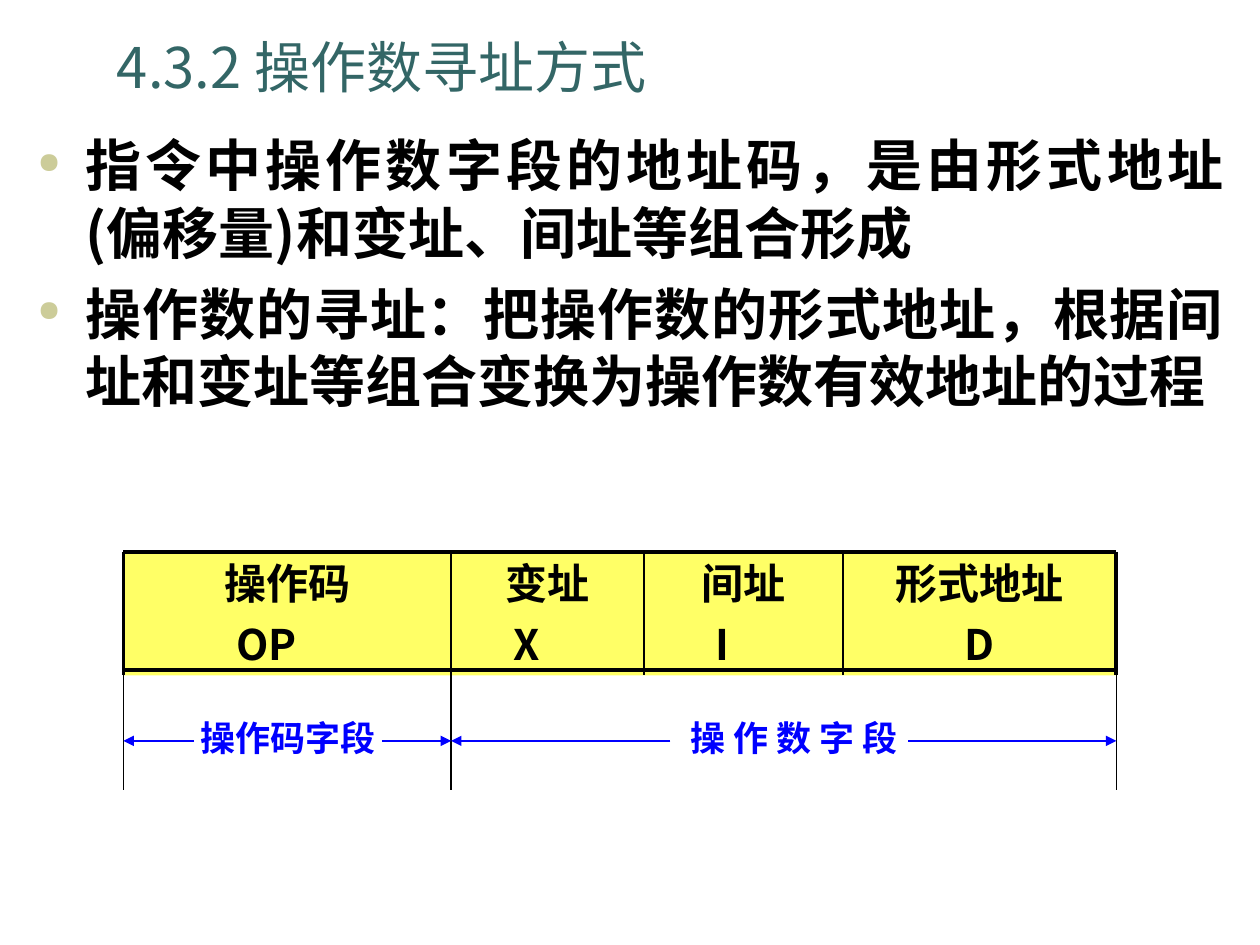
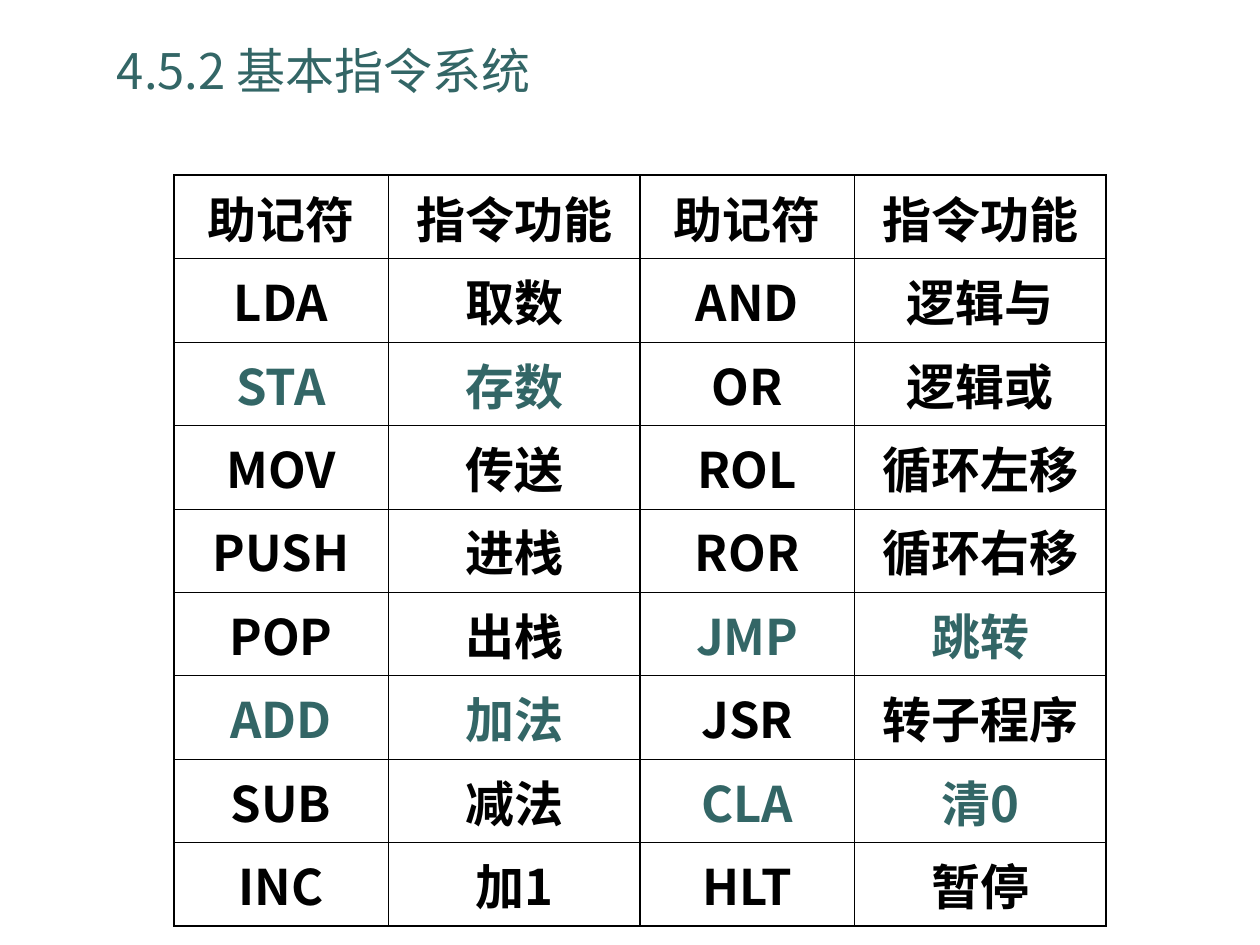
from dataclasses import dataclass

from lxml.etree import SubElement
from pptx import Presentation
from pptx.dml.color import RGBColor
from pptx.enum.shapes import MSO_CONNECTOR, MSO_SHAPE
from pptx.enum.text import MSO_ANCHOR, PP_ALIGN
from pptx.oxml.ns import qn
from pptx.util import Inches, Pt

COLORS = {
    "teal": "336666",
    "black": "000000",
    "bullet": "CCCC99",
    "field": "FFFF66",
    "blue": "0000FF",
}
CJK_FONT = "Noto Sans CJK SC"
LABEL_FONT = "Arial"


@dataclass
class TextStyle:
    size: float
    color: str = "black"
    bold: bool = True
    font: str = CJK_FONT
    align: PP_ALIGN = PP_ALIGN.CENTER
    space_before: float = 0


@dataclass
class Field:
    name: str
    symbol: str
    left: float
    right: float


@dataclass
class Span:
    """A blue label between two arrows that reach out to the span's ends."""
    label: str
    left: float
    right: float
    label_left: float
    label_width: float
    arrow_left: float
    arrow_right: float


BODY_STYLE = TextStyle(32, align=PP_ALIGN.JUSTIFY, space_before=8)
FIELD_STYLE = TextStyle(24, space_before=6)
SPAN_STYLE = TextStyle(20, "blue", font=LABEL_FONT)
CELL_STYLE = TextStyle(28)
MARKED_CELL_STYLE = TextStyle(28, "teal")

BODY = [
    "指令中操作数字段的地址码，是由形式地址(偏移量)和变址、间址等组合形成",
    "操作数的寻址：把操作数的形式地址，根据间址和变址等组合变换为操作数有效地址的过程",
]

# Instruction format diagram
FIELDS = [
    Field("操作码", "OP　", 0.98, 3.58),
    Field("变址", "X　", 3.58, 5.11),
    Field("间址", "I　", 5.11, 6.69),
    Field("形式地址", "D", 6.69, 8.86),
]
SPANS = [
    Span("操作码字段", 0.98, 3.58, 1.46, 1.65, 1.54, 3.03),
    Span("操 作 数 字 段", 3.58, 8.86, 5.32, 1.97, 5.32, 7.21),
]
FIELD_TOP, FIELD_RULE, FIELD_BOTTOM = 4.38, 5.32, 5.36
GUIDE_TOP, GUIDE_BOTTOM = 5.25, 6.27
LABEL_TOP, ARROW_Y = 5.64, 5.88

# Instruction set tables
HEADER = ("助记符", "指令功能")
INSTRUCTIONS = [
    [("LDA", "取数"), ("STA", "存数"), ("MOV", "传送"), ("PUSH", "进栈"),
     ("POP", "出栈"), ("ADD", "加法"), ("SUB", "减法"), ("INC", "加1")],
    [("AND", "逻辑与"), ("OR", "逻辑或"), ("ROL", "循环左移"), ("ROR", "循环右移"),
     ("JMP", "跳转"), ("JSR", "转子程序"), ("CLA", "清0"), ("HLT", "暂停")],
]
MARKED = {"STA", "ADD", "JMP", "CLA"}
TABLE_LEFT, TABLE_TOP, TABLE_HEIGHT = 1.38, 1.39, 5.96
COLUMN_WIDTHS = (1.7, 2.0)
OUTER_BORDER, INNER_BORDER = 1.08, 0.45


def rgb(name: str) -> RGBColor:
    return RGBColor.from_string(COLORS[name])


def add_bullet(paragraph) -> None:
    properties = paragraph._p.get_or_add_pPr()
    properties.set("marL", str(Inches(0.38)))
    properties.set("indent", str(-Inches(0.38)))
    color = SubElement(properties, qn("a:buClr"))
    SubElement(color, qn("a:srgbClr"), val=COLORS["bullet"])
    SubElement(properties, qn("a:buSzPct"), val="52000")
    SubElement(properties, qn("a:buChar"), char="●")


def write_text(text_frame, lines: list[str], style: TextStyle, bullets: bool = False) -> None:
    text_frame.text = "\n".join(lines)
    text_frame.word_wrap = True
    for index, paragraph in enumerate(text_frame.paragraphs):
        if bullets:
            add_bullet(paragraph)
        paragraph.alignment = style.align
        if index:
            paragraph.space_before = Pt(style.space_before)
        for run in paragraph.runs:
            run.font.size = Pt(style.size)
            run.font.bold = style.bold
            run.font.color.rgb = rgb(style.color)
            run.font.name = style.font
            SubElement(run._r.get_or_add_rPr(), qn("a:ea"), typeface=CJK_FONT)


def add_text(slide, left: float, top: float, width: float, height: float,
             lines: list[str], style: TextStyle, bullets: bool = False):
    shape = slide.shapes.add_textbox(Inches(left), Inches(top), Inches(width), Inches(height))
    write_text(shape.text_frame, lines, style, bullets)
    return shape


def add_titled_slide(presentation, title: str, size: float):
    slide = presentation.slides.add_slide(presentation.slide_layouts[6])
    style = TextStyle(size, "teal", bold=False, align=PP_ALIGN.LEFT)
    text_frame = add_text(slide, 0.83, 0.27, 8.42, 0.57, [title], style).text_frame
    text_frame.vertical_anchor = MSO_ANCHOR.BOTTOM
    text_frame.margin_top = 0
    return slide


def add_line(slide, start: tuple[float, float], end: tuple[float, float],
             width: float, color: str = "black", arrow: bool = False) -> None:
    points = [Inches(value) for value in (*start, *end)]
    connector = slide.shapes.add_connector(MSO_CONNECTOR.STRAIGHT, *points)
    connector.line.color.rgb = rgb(color)
    connector.line.width = Pt(width)
    if arrow:
        SubElement(connector.line._get_or_add_ln(), qn("a:tailEnd"), type="triangle")
    SubElement(connector._element.spPr, qn("a:effectLst"))


def add_field(slide, field: Field) -> None:
    shape = slide.shapes.add_shape(
        MSO_SHAPE.RECTANGLE, Inches(field.left), Inches(FIELD_TOP),
        Inches(field.right - field.left), Inches(FIELD_BOTTOM - FIELD_TOP))
    shape.shadow.inherit = False
    shape.fill.solid()
    shape.fill.fore_color.rgb = rgb("field")
    shape.line.fill.background()
    shape.text_frame.vertical_anchor = MSO_ANCHOR.MIDDLE
    write_text(shape.text_frame, [field.name, field.symbol], FIELD_STYLE)


def add_span(slide, span: Span) -> None:
    add_text(slide, span.label_left, LABEL_TOP, span.label_width, 0.44, [span.label], SPAN_STYLE)
    for start, end in ((span.arrow_left, span.left), (span.arrow_right, span.right)):
        add_line(slide, (start, ARROW_Y), (end, ARROW_Y), 0.75, "blue", arrow=True)


def add_instruction_format(slide) -> None:
    left, right = FIELDS[0].left, FIELDS[-1].right
    for field in FIELDS:
        add_field(slide, field)
    # Frame and dividers
    for y in (FIELD_TOP, FIELD_RULE):
        add_line(slide, (left, y), (right, y), 2.25)
    for x in [left] + [field.right for field in FIELDS]:
        add_line(slide, (x, FIELD_TOP), (x, FIELD_BOTTOM), 2.25 if x in (left, right) else 1)
    # Guides and spans
    for x in [left] + [span.right for span in SPANS]:
        add_line(slide, (x, GUIDE_TOP), (x, GUIDE_BOTTOM), 0.75)
    for span in SPANS:
        add_span(slide, span)


def set_borders(cell, outer_sides: dict[str, bool]) -> None:
    properties = cell._tc.get_or_add_tcPr()
    for side, is_outer in outer_sides.items():
        width = Pt(OUTER_BORDER if is_outer else INNER_BORDER)
        line = SubElement(properties, qn(f"a:ln{side}"), w=str(width))
        fill = SubElement(line, qn("a:solidFill"))
        SubElement(fill, qn("a:srgbClr"), val=COLORS["black"])


def add_instruction_table(slide, left: float, instructions: list[tuple[str, str]]) -> None:
    rows = [HEADER, *instructions]
    table = slide.shapes.add_table(
        len(rows), len(HEADER), Inches(left), Inches(TABLE_TOP),
        Inches(sum(COLUMN_WIDTHS)), Inches(TABLE_HEIGHT)).table
    table.first_row = table.horz_banding = False
    for column, width in zip(table.columns, COLUMN_WIDTHS):
        column.width = Inches(width)
    for row_index, row in enumerate(rows):
        style = MARKED_CELL_STYLE if row[0] in MARKED else CELL_STYLE
        for column_index, text in enumerate(row):
            cell = table.cell(row_index, column_index)
            write_text(cell.text_frame, [text], style)
            set_borders(cell, {
                "L": column_index == 0,
                "R": column_index == len(HEADER) - 1,
                "T": row_index == 0,
                "B": row_index == len(rows) - 1,
            })
            cell.fill.background()


def main() -> None:
    presentation = Presentation()
    presentation.slide_width = Inches(10)
    presentation.slide_height = Inches(7.5)

    # Operand addressing
    slide = add_titled_slide(presentation, "4.3.2 操作数寻址方式", 32)
    add_text(slide, 0.2, 0.99, 9.61, 6.06, BODY, BODY_STYLE, bullets=True)
    add_instruction_format(slide)

    # Basic instruction set
    slide = add_titled_slide(presentation, "4.5.2 基本指令系统", 28)
    for index, instructions in enumerate(INSTRUCTIONS):
        add_instruction_table(slide, TABLE_LEFT + index * sum(COLUMN_WIDTHS), instructions)

    presentation.save("out.pptx")


if __name__ == "__main__":
    main()
